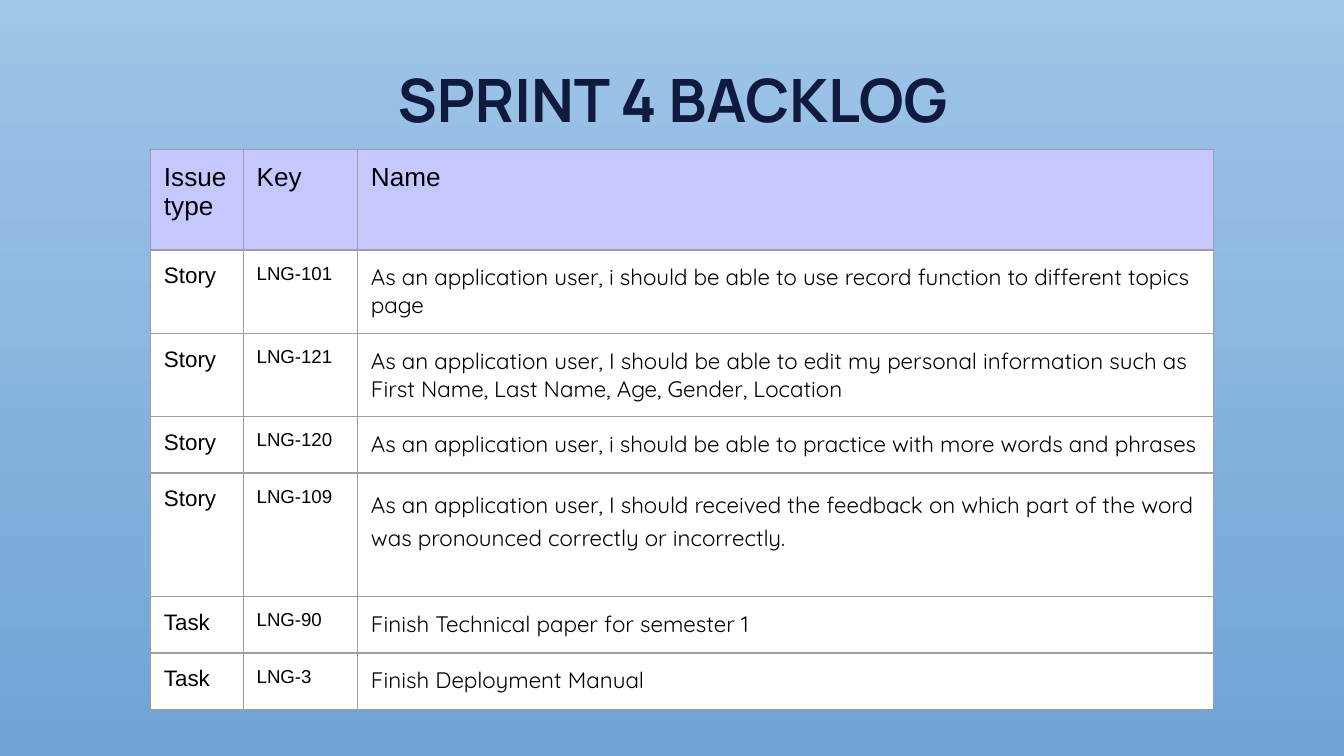
import pptx
import pptx.dml.color
import pptx.enum.text
import pptx.oxml.ns
import pptx.util
from lxml import etree

Inches = pptx.util.Inches
Pt = pptx.util.Pt
qn = pptx.oxml.ns.qn


def color(value):
    return pptx.dml.color.RGBColor.from_string(value)


class Deck:
    """Holds the style and the current slide."""

    INK, TITLE, GRID = "000000", "0E1A3F", "9E9E9E"
    HEADER, BODY = "C7C7FF", "FFFFFF"
    PAD = Inches(0.1)

    def __init__(self, width, height):
        self.prs = pptx.Presentation()
        self.prs.slide_width = Inches(width)
        self.prs.slide_height = Inches(height)

    def add_slide(self, top, bottom):
        self.s = self.prs.slides.add_slide(self.prs.slide_layouts[5])
        fill = self.s.background.fill
        fill.gradient()
        fill.gradient_angle = 270
        for stop, position, value in zip(fill.gradient_stops, (0, 1), (top, bottom)):
            stop.position = position
            stop.color.rgb = color(value)

    def font(self, p, name, size, value, bold=False):
        p.font.name = name
        p.font.size = Pt(size)
        p.font.bold = bold
        p.font.color.rgb = color(value)

    def title(self, text, left, top, width, height):
        sp = self.s.shapes.title
        sp.left, sp.top = Inches(left), Inches(top)
        sp.width, sp.height = Inches(width), Inches(height)
        tf = sp.text_frame
        tf.text = text
        tf.word_wrap = True
        tf.auto_size = pptx.enum.text.MSO_AUTO_SIZE.NONE
        tf.vertical_anchor = pptx.enum.text.MSO_ANCHOR.TOP
        tf.margin_left = tf.margin_right = self.PAD
        tf.margin_top = tf.margin_bottom = self.PAD
        p = tf.paragraphs[0]
        p.alignment = pptx.enum.text.PP_ALIGN.CENTER
        self.font(p, "Manrope", 32, self.TITLE, True)

    def borders(self, cell):
        tc_pr = cell._tc.get_or_add_tcPr()
        for side in ("a:lnL", "a:lnR", "a:lnT", "a:lnB"):
            ln = etree.SubElement(tc_pr, qn(side), w=str(Pt(0.75)))
            solid = etree.SubElement(ln, qn("a:solidFill"))
            etree.SubElement(solid, qn("a:srgbClr"), val=self.GRID)

    def cell(self, cell, text, name, size, fill):
        self.borders(cell)
        cell.fill.solid()
        cell.fill.fore_color.rgb = color(fill)
        cell.margin_left = cell.margin_right = self.PAD
        cell.margin_top = cell.margin_bottom = self.PAD
        cell.text = text
        self.font(cell.text_frame.paragraphs[0], name, size, self.INK)

    def table(self, header, rows, left, top, widths, heights, fonts):
        tbl = self.s.shapes.add_table(
            len(heights), len(widths), Inches(left), Inches(top),
            Inches(sum(widths)), Inches(sum(heights))).table
        for column, width in zip(tbl.columns, widths):
            column.width = Inches(width)
        for row, height in zip(tbl.rows, heights):
            row.height = Inches(height)
        for c, text in enumerate(header):
            self.cell(tbl.cell(0, c), text, "Arial", 14, self.HEADER)
        for r, row in enumerate(rows, 1):
            for c, (text, (name, size)) in enumerate(zip(row, fonts)):
                self.cell(tbl.cell(r, c), text, name, size, self.BODY)
        return tbl


HEADER = ("Issue type", "Key", "Name")
ISSUES = [
    ("Story", "LNG-101", "As an application user, i should be able to use record "
     "function to different topics page"),
    ("Story", "LNG-121", "As an application user, I should be able to edit my personal "
     "information such as First Name, Last Name, Age, Gender, Location"),
    ("Story", "LNG-120", "As an application user, i should be able to practice with "
     "more words and phrases"),
    ("Story", "LNG-109", "As an application user, I should received the feedback on "
     "which part of the word was pronounced correctly or incorrectly."),
    ("Task", "LNG-90", "Finish Technical paper for semester 1"),
    ("Task", "LNG-3", "Finish Deployment Manual"),
]


def main():
    # Widescreen slide, 16:9
    deck = Deck(10, 10 * 9 / 16)
    deck.add_slide("9FC5E8", "70A4D5")

    # Title
    deck.title("SPRINT 4 BACKLOG", 0.79, 0.37, 8.43, 0.63)

    # Backlog table
    tbl = deck.table(
        HEADER, ISSUES, 1.12, 1.11,
        widths=(0.69, 0.85, 6.37),
        heights=(0.75, 0.62, 0.62, 0.42, 0.92, 0.42, 0.42),
        fonts=(("Arial", 12), ("Arial", 10), ("Quicksand", 12)))

    # The feedback story is set with wider lines
    tbl.cell(4, 2).text_frame.paragraphs[0].line_spacing = 1.17

    deck.prs.save("out.pptx")


if __name__ == "__main__":
    main()
